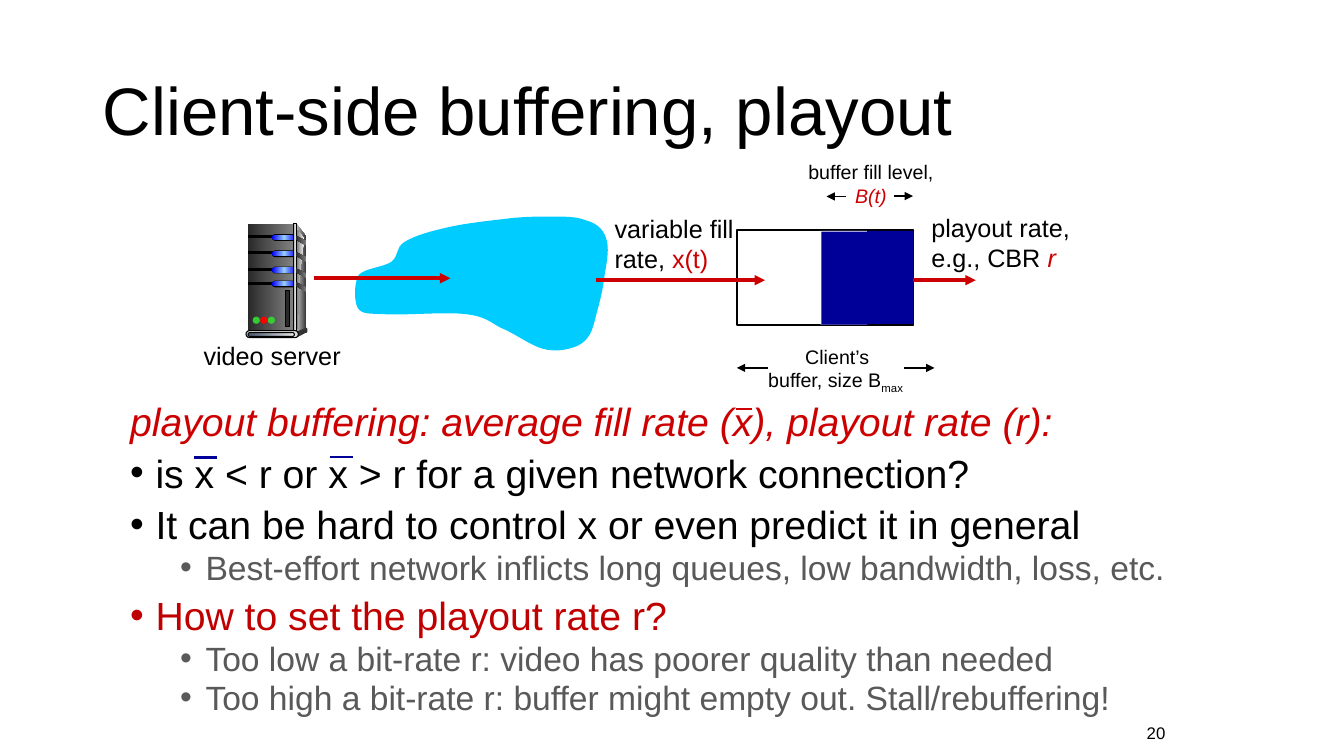
from copy import deepcopy
from dataclasses import dataclass

from lxml import etree
from pptx import Presentation, util as u
from pptx.dml import color
from pptx.enum import shapes, text
from pptx.oxml import ns


@dataclass(frozen=True)
class Theme:
    font: str = "Arial"
    black: str = "000000"
    white: str = "FFFFFF"
    red: str = "CC0000"
    deep_red: str = "C00000"
    grey: str = "595959"
    navy: str = "000099"
    cloud: str = "00CCFF"
    dark: str = "333333"
    light: str = "DDDDDD"
    green: str = "33CC33"
    lamp_red: str = "FF0000"
    metal: tuple = ("292929", "808080")
    side: tuple = ("DDDDDD", "333333")
    shine: tuple = ("808080", "F8F8F8")
    spine: tuple = ("333333", "DDDDDD", "333333")
    drive: tuple = ("0000FF", "99CCFF", "0000FF")
    foot: tuple = ("44546A", "E7E6E6")
    title: int = 48
    body: int = 28
    detail: int = 24
    label: int = 18
    caption: int = 14
    number: int = 12


THEME = Theme()
RECT = shapes.MSO_SHAPE.RECTANGLE
PILL = shapes.MSO_SHAPE.ROUNDED_RECTANGLE
OVAL = shapes.MSO_SHAPE.OVAL

# Network outline in cm: start point, then two controls and an end per curve
CLOUD = [
    (12.95, 5.49),
    (12.55, 5.54), (11.81, 5.61), (11.33, 5.72),
    (10.87, 5.82), (10.44, 5.94), (10.19, 6.1),
    (9.96, 6.25), (10.06, 6.45), (9.86, 6.6),
    (9.68, 6.73), (9.19, 6.76), (9.04, 6.93),
    (8.92, 7.14), (8.92, 7.59), (9.02, 7.77),
    (9.14, 7.92), (9.27, 7.9), (9.73, 7.92),
    (10.19, 7.95), (11.28, 7.85), (11.76, 7.92),
    (12.24, 7.98), (12.32, 8.1), (12.62, 8.26),
    (12.93, 8.38), (13.31, 8.66), (13.59, 8.76),
    (13.87, 8.86), (14.12, 8.84), (14.33, 8.79),
    (14.53, 8.74), (14.71, 8.66), (14.83, 8.48),
    (14.96, 8.31), (15.01, 7.95), (15.09, 7.7),
    (15.16, 7.42), (15.21, 7.19), (15.24, 6.91),
    (15.29, 6.63), (15.37, 6.22), (15.27, 5.99),
    (15.19, 5.74), (14.99, 5.61), (14.73, 5.54),
    (14.48, 5.44), (14.05, 5.46), (13.74, 5.46),
    (13.44, 5.46), (13.34, 5.46), (12.95, 5.49),
]
SHINE = [(7.49, 5.79), (7.49, 5.79), (7.52, 5.82), (7.67, 6.02),
         (7.49, 7.04), (7.52, 8.36), (7.49, 8.31)]


def rgb(value):
    return color.RGBColor.from_string(value)


def style(shape, fill=None, line=None, width=0.75):
    """Fill with one colour, a tuple of gradient colours, or nothing."""
    shape.shadow.inherit = False
    if fill is None:
        shape.fill.background()
    elif isinstance(fill, tuple):
        shape.fill.gradient()
        shape.fill.gradient_angle = 0
        stop_list = shape._element.spPr.find(".//" + ns.qn("a:gsLst"))
        while len(stop_list) < len(fill):
            stop_list.append(deepcopy(stop_list[0]))
        for index, (stop, value) in enumerate(zip(shape.fill.gradient_stops, fill)):
            stop.color.rgb = rgb(value)
            stop.position = index / (len(fill) - 1)
    else:
        shape.fill.solid()
        shape.fill.fore_color.rgb = rgb(fill)
    if line:
        shape.line.color.rgb = rgb(line)
        shape.line.width = u.Pt(width)
    else:
        shape.line.fill.background()


def add_block(parent, kind, box, fill=None, line=None, width=0.75):
    shape = parent.shapes.add_shape(kind, *map(u.Cm, box))
    if kind == PILL:
        shape.adjustments[0] = 0.5
    style(shape, fill, line, width)


def add_outline(parent, points, fill, curved=False):
    """Draw a closed outline; if curved, each three points form one curve."""
    corners = [(u.Cm(x), u.Cm(y)) for x, y in points]
    builder = parent.shapes.build_freeform(*corners[0])
    builder.add_line_segments(corners[1:], close=True)
    shape = builder.convert_to_shape()
    if curved:
        segments = list(shape._element.iter(ns.qn("a:lnTo")))
        for index in range(0, len(segments), 3):
            curve = etree.Element(ns.qn("a:cubicBezTo"))
            segments[index].addprevious(curve)
            for segment in segments[index:index + 3]:
                curve.append(segment[0])
                segment.getparent().remove(segment)
    style(shape, fill)


def add_level_line(slide, start, end, y, value, width, arrow=True):
    connector = slide.shapes.add_connector(
        shapes.MSO_CONNECTOR.STRAIGHT, u.Cm(start), u.Cm(y), u.Cm(end), u.Cm(y))
    connector.line.color.rgb = rgb(value)
    connector.line.width = u.Pt(width)
    properties = connector._element.spPr
    if arrow:
        etree.SubElement(properties.find(ns.qn("a:ln")), ns.qn("a:tailEnd"), type="triangle")
    etree.SubElement(properties, ns.qn("a:effectLst"))


def add_run(paragraph, words, size, value=THEME.black, italic=False, baseline=None):
    run = paragraph.add_run()
    run.text = words
    run.font.name = THEME.font
    run.font.size = u.Pt(size)
    run.font.italic = italic
    run.font.color.rgb = rgb(value)
    if baseline:
        run.font._element.set("baseline", str(baseline))


def add_text(slide, box, size, paragraphs, align=text.PP_ALIGN.LEFT, middle=False):
    """Each paragraph is a list of (words, colour, italic, baseline) runs."""
    frame = slide.shapes.add_textbox(*map(u.Cm, box)).text_frame
    frame.word_wrap = True
    if middle:
        frame.vertical_anchor = text.MSO_ANCHOR.MIDDLE
    for index, runs in enumerate(paragraphs):
        paragraph = frame.add_paragraph() if index else frame.paragraphs[0]
        paragraph.alignment = align
        for words, *look in runs:
            add_run(paragraph, words, size, *look)
    return frame


def add_bullet(frame, words, value=THEME.black, level=0):
    paragraph = frame.add_paragraph()
    paragraph.level = level
    paragraph.line_spacing = 0.8
    paragraph.space_before = u.Pt(5 if level else 10)
    properties = paragraph._element.get_or_add_pPr()
    properties.set("marL", str(u.Cm(1.9 if level else 0.64)))
    properties.set("indent", str(u.Cm(-0.64)))
    etree.SubElement(properties, ns.qn("a:buFont"), typeface=THEME.font)
    etree.SubElement(properties, ns.qn("a:buChar"), char="•")
    add_run(paragraph, words, THEME.detail if level else THEME.body, value)


def add_server(slide):
    server = slide.shapes.add_group_shape()
    bay_tops = (5.94, 6.35, 6.76, 7.11)
    # Case
    add_outline(server, [(7.47, 5.64), (7.72, 5.97), (7.72, 8.28), (7.42, 8.38)], THEME.side)
    add_block(server, RECT, (6.25, 5.64, 1.14, 2.74), THEME.metal)
    add_outline(server, SHINE, THEME.shine, curved=True)
    # Drive bays
    for top in bay_tops:
        add_block(server, RECT, (6.27, top, 0.66, 0.05), THEME.black, THEME.black)
        add_block(server, PILL, (6.85, top - 0.04, 0.64, 0.17), THEME.black)
        add_block(server, PILL, (6.86, top - 0.02, 0.61, 0.13), THEME.drive)
    add_block(server, RECT, (7.39, 5.64, 0.08, 2.74), THEME.spine, THEME.black)
    for top in bay_tops:
        add_outline(server, [(7.46, top), (7.73, top + 0.14), (7.73, top + 0.25),
                             (7.46, top + 0.1)], THEME.metal)
    # Base, lamps and vent
    add_block(server, OVAL, (7.7, 8.26, 0.05, 0.13), THEME.dark)
    add_outline(server, [(7.47, 8.36), (7.47, 8.51), (7.72, 8.38), (7.72, 8.26)], THEME.dark)
    add_block(server, PILL, (6.2, 8.33, 1.32, 0.18), THEME.light, THEME.black)
    add_block(server, PILL, (6.25, 8.38, 1.17, 0.1), THEME.foot, THEME.black)
    for index, lamp in enumerate((THEME.green, THEME.lamp_red, THEME.green)):
        add_block(server, OVAL, (6.37 + 0.19 * index, 7.98, 0.18, 0.18), lamp)
    add_block(server, RECT, (7.19, 7.32, 0.1, 0.91), THEME.metal[0], THEME.black)


def add_diagram(slide):
    center = text.PP_ALIGN.CENTER
    # Server, network, client buffer and data flow
    add_server(slide)
    add_outline(slide, CLOUD, THEME.cloud, curved=True)
    add_block(slide, RECT, (18.57, 5.79, 4.45, 2.41), None, THEME.black, 1.25)
    for start, end, y in ((7.92, 11.35, 7.01), (15.01, 19.28, 7.06), (22.78, 24.59, 7.06)):
        add_level_line(slide, start, end, y, THEME.red, 2.5)
    # Fill level with its moving edge
    for box, fill in (((20.75, 5.82, 2.26, 2.34), THEME.navy),
                      ((20.68, 5.82, 1.17, 2.36), THEME.white),
                      ((20.7, 5.84, 1.19, 2.34), THEME.navy)):
        add_block(slide, RECT, box, fill)
    for start, end, y in ((21.31, 20.83, 4.95), (22.53, 23.01, 4.94),
                          (19.35, 18.57, 9.27), (22.78, 23.55, 9.27)):
        add_level_line(slide, start, end, y, THEME.black, 1.25)
    # Labels
    add_text(slide, (4.88, 8.46, 4.17, 1.02), THEME.label, [[("video server",)]])
    add_text(slide, (15.24, 5.25, 3.68, 1.8), THEME.label,
             [[("variable fill",)], [("rate, ",), ("x(t)", THEME.red)]])
    add_text(slide, (23.22, 5.23, 4.04, 1.8), THEME.label,
             [[("playout rate,",)], [("e.g., CBR ",), ("r", THEME.red, True)]])
    add_text(slide, (19.97, 3.91, 3.96, 1.45), THEME.caption,
             [[("buffer fill level, ",), ("B(t)", THEME.red, True)]], center)
    add_text(slide, (18.8, 8.56, 4.6, 1.45), THEME.caption,
             [[("Client’s",)], [("buffer, size B",), ("max ", THEME.black, False, -25000)]], center)


def main():
    presentation = Presentation()
    presentation.slide_width, presentation.slide_height = u.Cm(33.87), u.Cm(19.05)
    slide = presentation.slides.add_slide(presentation.slide_layouts[6])
    add_diagram(slide)

    # Page number and title
    add_text(slide, (27.72, 18.08, 1.9, 0.76), THEME.number, [[("20",)]],
             text.PP_ALIGN.RIGHT, middle=True)
    title = add_text(slide, (2.34, 1.02, 29.21, 3.68), THEME.title,
                     [[("Client-side buffering, playout",)]], middle=True)
    title.paragraphs[0].line_spacing = 0.9

    # Discussion points
    body = add_text(slide, (3.03, 10.12, 28.5, 8.43), THEME.body, [[
        ("playout buffering: average fill rate (x), playout rate (r):", THEME.red, True)]])
    body.paragraphs[0].line_spacing = 0.8
    add_bullet(body, "is x < r or x > r for a given network connection?")
    add_bullet(body, "It can be hard to control x or even predict it in general")
    add_bullet(body, "Best-effort network inflicts long queues, low bandwidth, loss, etc.", THEME.grey, 1)
    add_bullet(body, "How to set the playout rate r?", THEME.deep_red)
    add_bullet(body, "Too low a bit-rate r: video has poorer quality than needed", THEME.grey, 1)
    add_bullet(body, "Too high a bit-rate r: buffer might empty out. Stall/rebuffering!", THEME.grey, 1)

    # Bars over the averaged x
    for start, end, y, value, width in ((4.88, 5.46, 11.53, THEME.navy, 1.75),
                                        (8.31, 8.89, 11.51, THEME.navy, 1.75),
                                        (18.54, 18.95, 10.31, THEME.red, 1.5)):
        add_level_line(slide, start, end, y, value, width, arrow=False)

    presentation.save("out.pptx")


if __name__ == "__main__":
    main()
